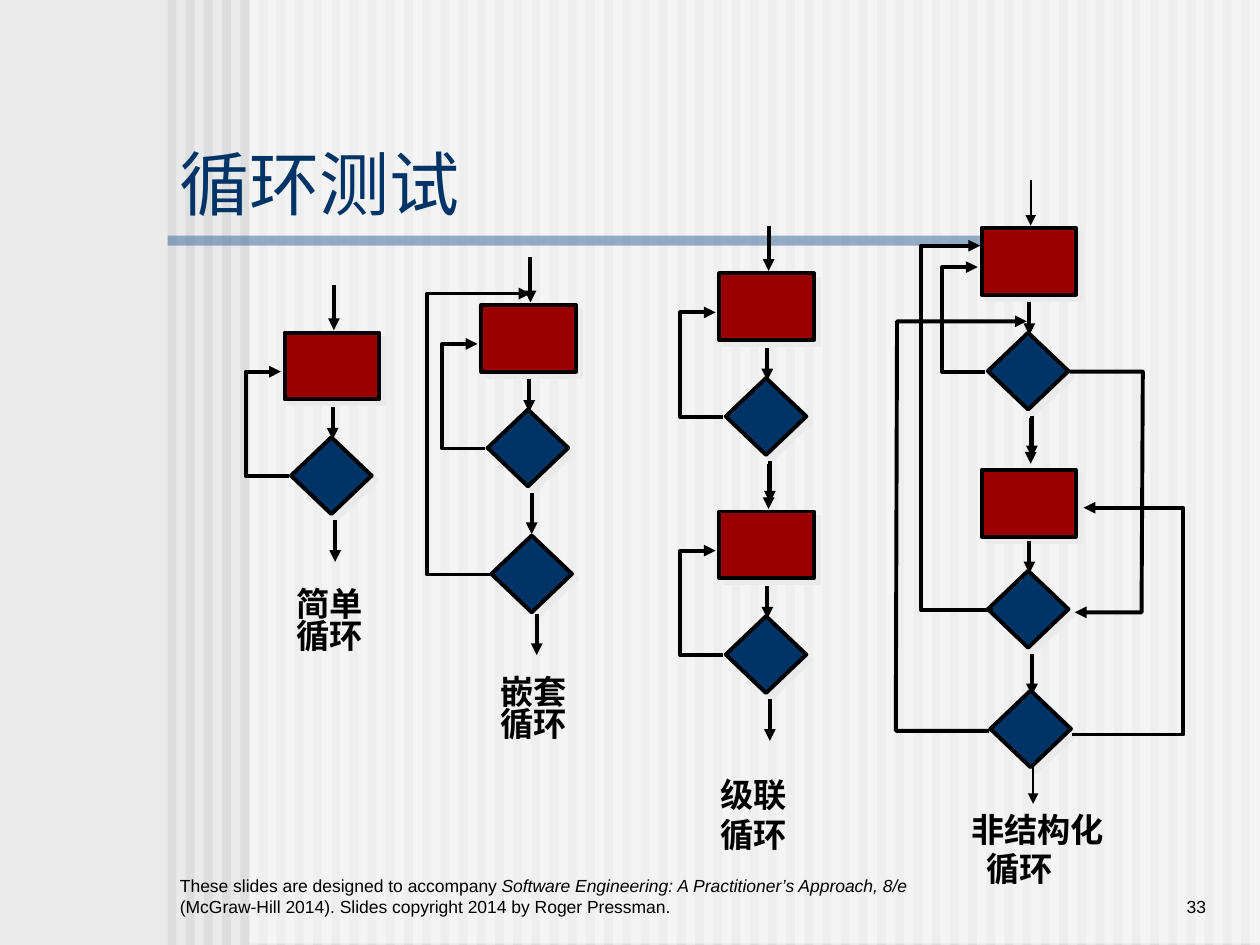
from dataclasses import dataclass
from typing import Optional

from lxml import etree
from pptx import Presentation
from pptx import util as u
from pptx.dml.color import RGBColor
from pptx.enum import shapes, text
from pptx.oxml import ns

BACKGROUND = RGBColor(0xEA, 0xEA, 0xEA)
STRIPE = RGBColor(0xDD, 0xDD, 0xDD)
WHITE = RGBColor(0xFF, 0xFF, 0xFF)
RULE_BLUE = RGBColor(0x33, 0x66, 0x99)
NAVY = RGBColor(0x00, 0x33, 0x66)
RED = RGBColor(0x9A, 0x00, 0x00)
BLACK = RGBColor(0, 0, 0)

FONT = "Arial"
THICK, THIN = 2.25, 1
STATEMENT_SIZE = (0.75, 0.53)
DECISION_SIZE = (0.64, 0.61)
RECT = shapes.MSO_SHAPE.RECTANGLE
DIAMOND = shapes.MSO_SHAPE.DIAMOND
CENTER = text.PP_ALIGN.CENTER
LEFT = text.PP_ALIGN.LEFT
RIGHT = text.PP_ALIGN.RIGHT
MIDDLE = text.MSO_ANCHOR.MIDDLE
TOP = text.MSO_ANCHOR.TOP
BOTTOM = text.MSO_ANCHOR.BOTTOM

Point = tuple[float, float]


@dataclass(frozen=True)
class Loop:
    """Statement, decision and the arrows between them."""
    x: float
    y: float
    entry_weight: float = THICK
    feedback: bool = True
    statement_drop: float = 0.0


@dataclass(frozen=True)
class Label:
    lines: tuple[str, ...]
    box: tuple[float, float, float, float]
    spacing: float = 1.0
    align: text.PP_ALIGN = CENTER
    last_indent: float = 0.0


LOOPS = [
    Loop(2.26, 2.64),                                       # simple
    Loop(3.82, 2.42),                                       # nested
    Loop(5.71, 2.17), Loop(5.71, 4.06),                     # concatenated
    Loop(7.79, 1.81, entry_weight=THIN),                    # unstructured
    Loop(7.79, 3.70, feedback=False, statement_drop=0.03),
]
EXTRA_DECISIONS = [(3.90, 4.25), (7.86, 5.48)]
EXTRA_EXITS = [((4.26, 4.87), (4.26, 5.20), THICK),
               ((8.20, 6.06), (8.20, 6.38), THIN)]
JUMPS = [
    [(3.90, 4.56), (3.39, 4.56), (3.39, 2.33), (4.21, 2.33)],
    [(7.88, 4.84), (7.31, 4.84), (7.31, 1.95), (7.78, 1.95)],
    [(8.49, 2.95), (9.07, 2.95), (9.06, 4.86), (8.53, 4.86)],
    [(8.51, 5.83), (9.39, 5.83), (9.39, 4.03), (8.60, 4.03)],
    [(7.85, 5.80), (7.11, 5.80), (7.12, 2.55), (8.15, 2.55)],
]
LABELS = [
    Label(("简单", "循环"), (2.25, 4.64, 0.73, 0.60), 0.8),
    Label(("嵌套", "循环"), (3.87, 5.34, 0.73, 0.60), 0.8),
    Label(("级联", "循环"), (5.17, 6.10, 1.62, 0.73)),
    Label(("非结构化", "循环"), (7.61, 6.37, 1.38, 0.73), align=LEFT, last_indent=0.12),
]


def add_block(slide, kind, box, fill: RGBColor, alpha: Optional[int] = None,
              outlined: bool = False) -> None:
    """Add a filled shape; outlined blocks also get a pale offset shadow."""
    block = slide.shapes.add_shape(kind, *map(u.Inches, box))
    block.shadow.inherit = False
    block.fill.solid()
    block.fill.fore_color.rgb = fill
    if alpha is not None:
        color = block._element.spPr.find(".//" + ns.qn("a:srgbClr"))
        etree.SubElement(color, ns.qn("a:alpha"), val=str(alpha * 1000))
    if not outlined:
        block.line.fill.background()
        return
    block.line.color.rgb = BLACK
    block.line.width = u.Pt(THICK)
    effects = block._element.spPr.find(ns.qn("a:effectLst"))
    shadow = etree.SubElement(effects, ns.qn("a:outerShdw"), dist=str(u.Pt(4.2)),
                              dir=str(45 * 60000), algn="ctr", rotWithShape="0")
    etree.SubElement(shadow, ns.qn("a:srgbClr"), val=str(BACKGROUND))


def add_decision(slide, x: float, y: float) -> None:
    add_block(slide, DIAMOND, (x, y, *DECISION_SIZE), NAVY, outlined=True)


def style_arrow(arrow, weight: float) -> None:
    arrow.line.color.rgb = BLACK
    arrow.line.width = u.Pt(weight)
    etree.SubElement(arrow.line._get_or_add_ln(), ns.qn("a:tailEnd"), type="triangle")


def add_arrow(slide, start: Point, end: Point, weight: float = THICK) -> None:
    arrow = slide.shapes.add_connector(shapes.MSO_CONNECTOR.STRAIGHT,
                                       *map(u.Inches, start + end))
    style_arrow(arrow, weight)
    etree.SubElement(arrow._element.spPr, ns.qn("a:effectLst"))


def add_jump(slide, points: list[Point]) -> None:
    """Add a bent arrow through the given points."""
    corners = [(u.Inches(x), u.Inches(y)) for x, y in points]
    builder = slide.shapes.build_freeform(*corners[0])
    builder.add_line_segments(corners[1:], close=False)
    jump = builder.convert_to_shape()
    jump.shadow.inherit = False
    jump.fill.background()
    style_arrow(jump, THICK)


def add_loop(slide, loop: Loop) -> None:
    x, y = loop.x, loop.y
    add_block(slide, RECT, (x, y + loop.statement_drop, *STATEMENT_SIZE), RED, outlined=True)
    add_decision(slide, x + 0.05, y + 0.83)
    add_arrow(slide, (x + 0.39, y - 0.38), (x + 0.39, y - 0.02), loop.entry_weight)
    add_arrow(slide, (x + 0.38, y + 0.59), (x + 0.38, y + 0.85))
    add_arrow(slide, (x + 0.40, y + 1.49), (x + 0.40, y + 1.82))
    if loop.feedback:
        add_jump(slide, [(x + 0.03, y + 1.14), (x - 0.31, y + 1.14),
                         (x - 0.31, y + 0.31), (x - 0.03, y + 0.31)])


def add_text(slide, paragraphs, box, *, size: float, color: RGBColor = BLACK,
             bold: bool = False, align=LEFT, anchor=TOP, spacing: float = 1.0,
             wrap: bool = True, last_indent: float = 0.0) -> None:
    """Add a text box; each paragraph is a list of (words, italic) runs."""
    frame = slide.shapes.add_textbox(*map(u.Inches, box)).text_frame
    frame.word_wrap = wrap
    frame.vertical_anchor = anchor
    for index, runs in enumerate(paragraphs):
        paragraph = frame.add_paragraph() if index else frame.paragraphs[0]
        paragraph.alignment = align
        paragraph.line_spacing = spacing
        for words, italic in runs:
            run = paragraph.add_run()
            run.text = words
            run.font.name, run.font.size = FONT, u.Pt(size)
            run.font.bold, run.font.italic = bold, italic
            run.font.color.rgb = color
    if last_indent:
        paragraph._p.get_or_add_pPr().set("marL", str(u.Inches(last_indent)))


def main() -> None:
    deck = Presentation()
    deck.slide_width, deck.slide_height = u.Inches(10), u.Inches(7.5)
    slide = deck.slides.add_slide(deck.slide_layouts[6])

    # Striped backdrop, veil and title rule
    slide.background.fill.solid()
    slide.background.fill.fore_color.rgb = BACKGROUND
    stripe_count, first_stripe, last_stripe = 60, 1.33, 9.85
    pitch = (last_stripe - first_stripe) / (stripe_count - 1)
    for index in range(stripe_count):
        add_block(slide, RECT, (first_stripe + index * pitch, 0, 0.07, 7.5), STRIPE)
    add_block(slide, RECT, (1.98, 0, 8.02, 7.49), WHITE, alpha=50)
    add_block(slide, RECT, (1.33, 1.87, 6.58, 0.08), RULE_BLUE, alpha=50)

    # Footer, page number and title
    credit = [("These slides are designed to accompany ", False),
              ("Software Engineering: A Practitioner’s Approach, 8/e ", True),
              ("(McGraw-Hill 2014). Slides copyright 2014 by Roger Pressman.", False)]
    add_text(slide, [credit], (1.33, 6.83, 6, 0.5), size=10, anchor=BOTTOM)
    add_text(slide, [[("33", False)]], (8.25, 6.83, 1.42, 0.5), size=10,
             align=RIGHT, anchor=BOTTOM)
    add_text(slide, [[("循环测试", False)]], (1.33, 1.17, 5.21, 0.55), size=40,
             color=NAVY, anchor=MIDDLE)

    # Loop names
    for label in LABELS:
        add_text(slide, [[(line, False)] for line in label.lines], label.box, size=19,
                 bold=True, align=label.align, spacing=label.spacing,
                 wrap=label.align == LEFT, last_indent=label.last_indent)

    # Flow charts
    for loop in LOOPS:
        add_loop(slide, loop)
    for x, y in EXTRA_DECISIONS:
        add_decision(slide, x, y)
    for start, end, weight in EXTRA_EXITS:
        add_arrow(slide, start, end, weight)
    for points in JUMPS:
        add_jump(slide, points)

    deck.save("out.pptx")


if __name__ == "__main__":
    main()
